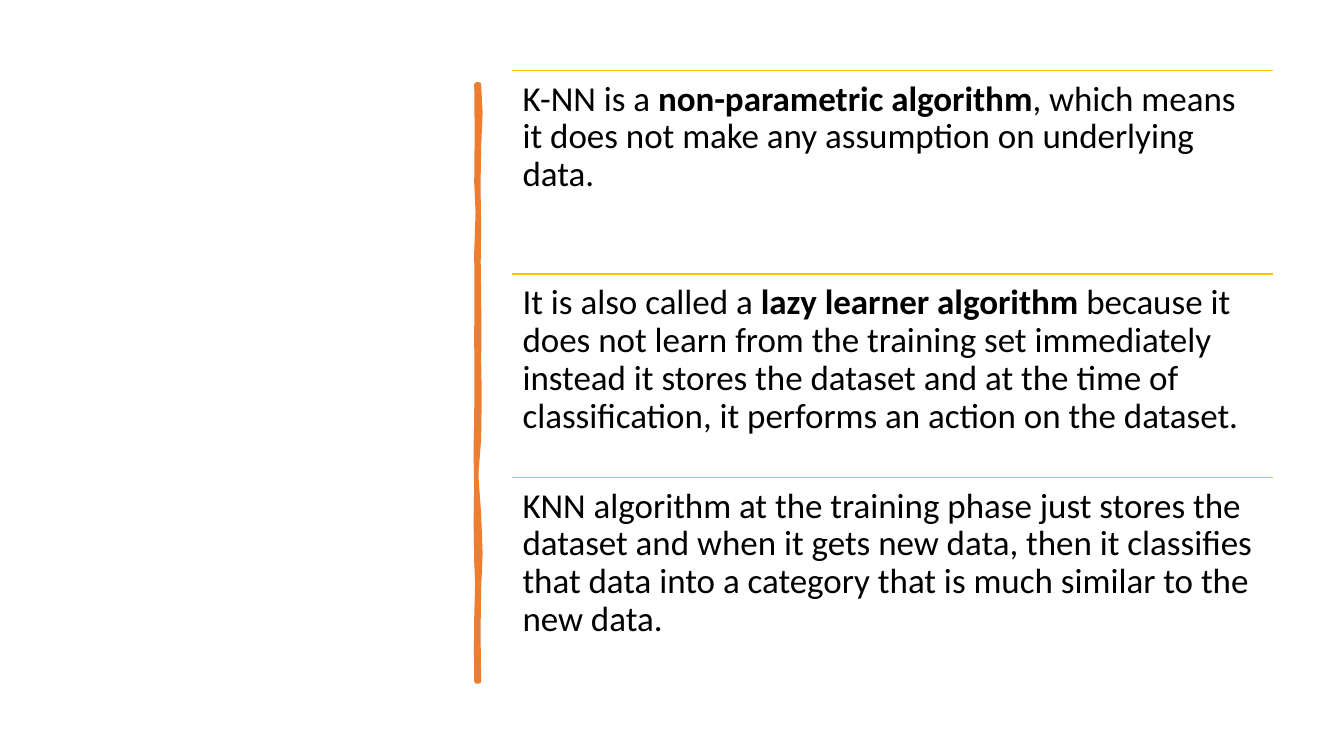
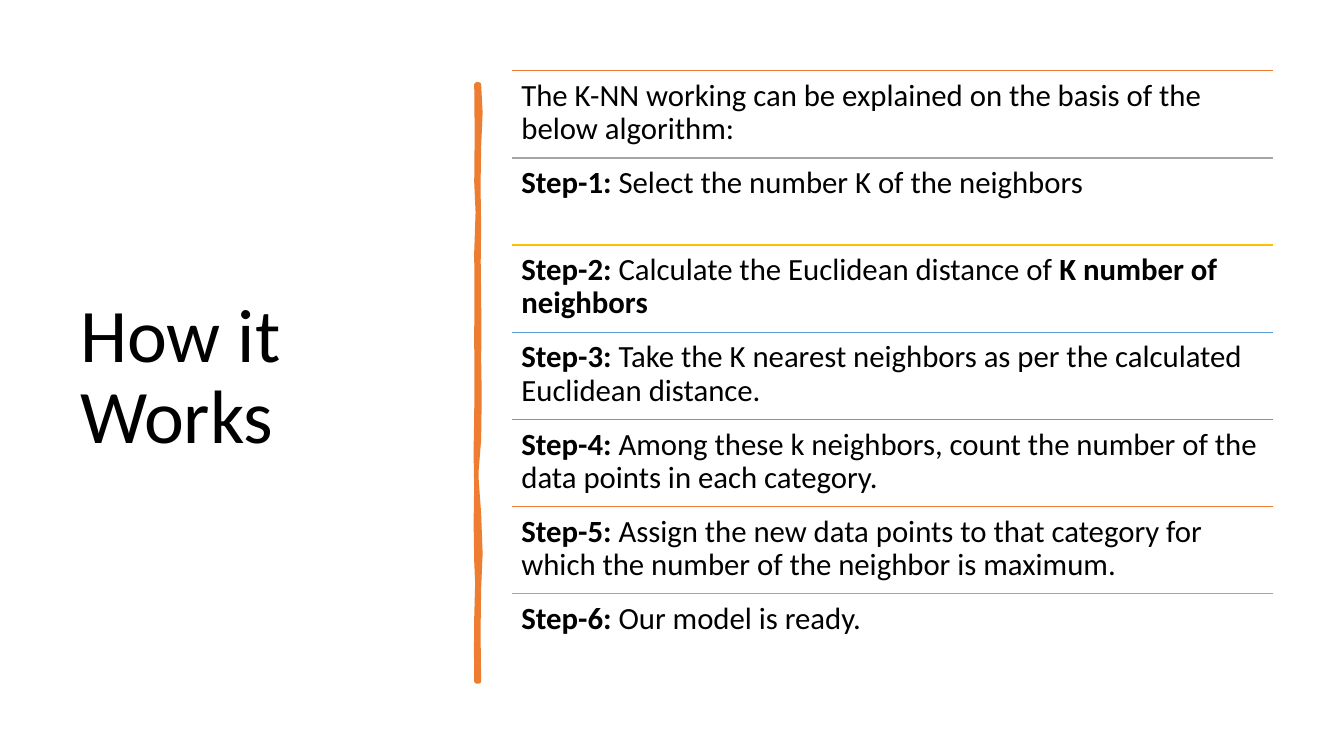
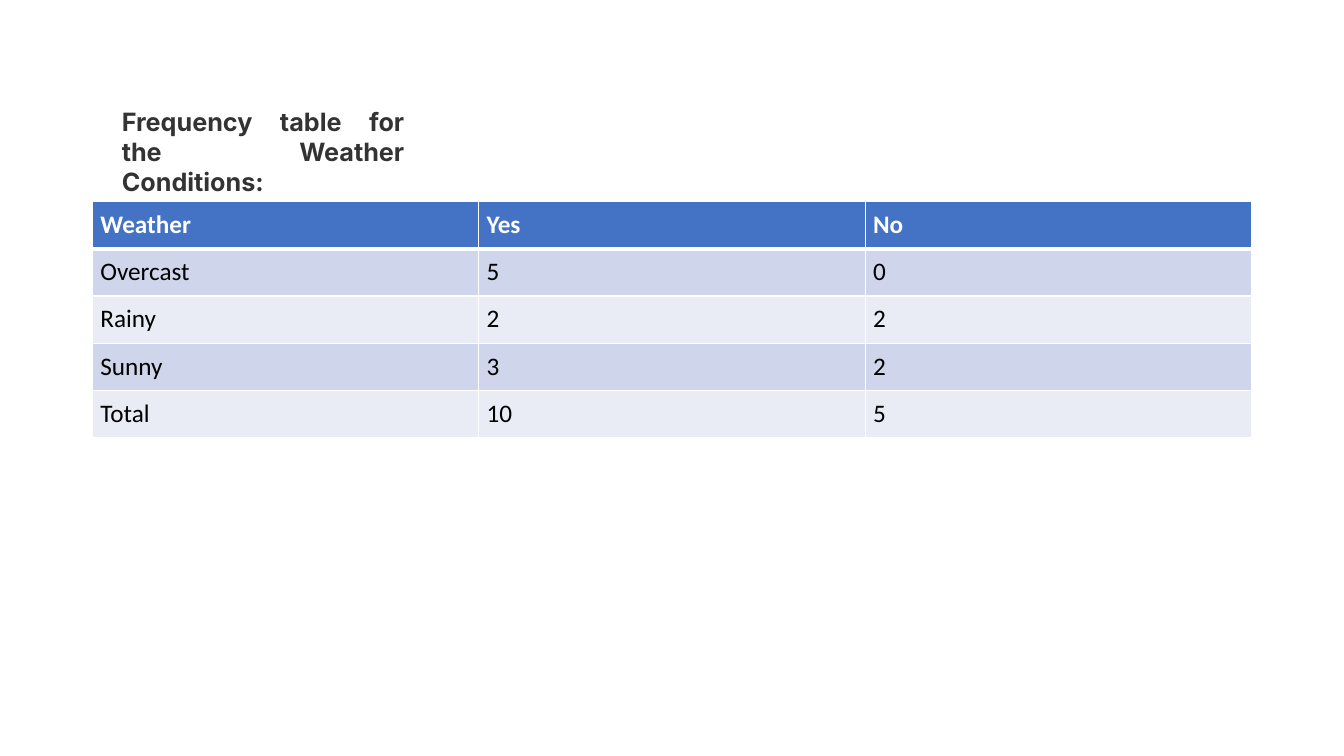
from dataclasses import dataclass

from lxml import etree
from pptx import Presentation
from pptx.dml.color import RGBColor
from pptx.enum.shapes import MSO_CONNECTOR
from pptx.enum.text import MSO_ANCHOR, PP_ALIGN
from pptx.oxml.ns import qn
from pptx.util import Cm, Pt

STRAIGHT = MSO_CONNECTOR.STRAIGHT
TOP, MIDDLE = MSO_ANCHOR.TOP, MSO_ANCHOR.MIDDLE
LEFT, JUSTIFY = PP_ALIGN.LEFT, PP_ALIGN.JUSTIFY


@dataclass(frozen=True)
class Theme:
    font: str = "Calibri"
    label_font: str = "Inter"
    black: str = "000000"
    white: str = "FFFFFF"
    dark: str = "333333"
    blue: str = "4472C4"
    sky: str = "5B9BD5"
    orange: str = "ED7D31"
    grey: str = "A5A5A5"
    gold: str = "FFC000"
    green: str = "70AD47"
    bands: tuple = ("CFD5EA", "E9EBF5")
    title: int = 54
    large: int = 25
    medium: int = 22
    small: int = 18


THEME = Theme()

# Brush stroke in cm: start point, then two controls and an end per curve
START = (12.07, 2.13)
CURVES = (
    ((12.12, 2.59), (12.12, 3.02), (12.07, 3.71)),
    ((12.01, 4.39), (12.09, 4.95), (12.07, 5.74)),
    ((12.04, 6.53), (12.07, 6.65), (12.07, 7.47)),
    ((12.04, 8.26), (12.12, 8.69), (12.07, 9.04)),
    ((12.01, 9.4), (12.17, 10.52), (12.07, 11.07)),
    ((11.96, 11.61), (11.99, 12.29), (12.07, 12.95)),
    ((12.12, 13.61), (12.12, 14.33), (12.07, 14.83)),
    ((12.01, 15.32), (12.09, 16.51), (12.07, 17.17)),
    ((12.04, 17.17), (12.01, 17.17), (12.01, 17.17)),
    ((12.04, 16.41), (11.96, 16.36), (12.01, 15.57)),
    ((12.04, 14.81), (12.04, 14.48), (12.01, 14.15)),
    ((11.99, 13.82), (11.99, 12.57), (12.01, 12.12)),
    ((12.01, 11.66), (11.96, 11.3), (12.01, 10.54)),
    ((12.04, 9.8), (11.99, 9.47), (12.01, 8.51)),
    ((12.04, 7.57), (11.99, 7.14), (12.01, 6.35)),
    ((12.04, 5.54), (12.07, 5.08), (12.01, 4.6)),
    ((11.94, 4.14), (12.11, 2.64), (12.01, 2.13)),
)

# Wording; asterisks enclose bold runs
TRAITS = (
    "K-NN is a *non-parametric algorithm*, which means it does not make any "
    "assumption on underlying data.",
    "It is also called a *lazy learner algorithm* because it does not learn "
    "from the training set immediately instead it stores the dataset and at "
    "the time of classification, it performs an action on the dataset.",
    "KNN algorithm at the training phase just stores the dataset and when it "
    "gets new data, then it classifies that data into a category that is much "
    "similar to the new data.",
)
STEPS = (
    "The K-NN working can be explained on the basis of the below algorithm:",
    "*Step-1:* Select the number K of the neighbors",
    "*Step-2:* Calculate the Euclidean distance of *K number of neighbors*",
    "*Step-3:* Take the K nearest neighbors as per the calculated Euclidean "
    "distance.",
    "*Step-4:* Among these k neighbors, count the number of the data points "
    "in each category.",
    "*Step-5:* Assign the new data points to that category for which the "
    "number of the neighbor is maximum.",
    "*Step-6:* Our model is ready.",
)
WEATHER = (
    ("Weather", "Yes", "No"),
    ("Overcast", "5", "0"),
    ("Rainy", "2", "2"),
    ("Sunny", "3", "2"),
    ("Total", "10", "5"),
)


def rgb(code):
    return RGBColor.from_string(code)


def write(frame, text, size, color=THEME.black, font=THEME.font,
          align=LEFT, space=1.0):
    """Fill a text frame with plain and bold runs."""
    para = frame.paragraphs[0]
    para.alignment = align
    para.line_spacing = space
    for i, part in enumerate(text.split("*")):
        if part:
            run = para.add_run()
            run.text = part
            run.font.name = font
            run.font.size = Pt(size)
            run.font.bold = i % 2 == 1
            run.font.color.rgb = rgb(color)


def add_text(slide, box, text, size, anchor=TOP, inset=None, **style):
    frame = slide.shapes.add_textbox(*map(Cm, box)).text_frame
    frame.word_wrap = True
    frame.vertical_anchor = anchor
    if inset is not None:
        frame.margin_left = frame.margin_right = Cm(inset)
        frame.margin_top = frame.margin_bottom = Cm(inset)
    write(frame, text, size, **style)


def add_rule(slide, left, top, width, color):
    rule = slide.shapes.add_connector(
        STRAIGHT, Cm(left), Cm(top), Cm(left + width), Cm(top))
    rule.line.color.rgb = rgb(color)
    rule.line.width = Pt(1)
    etree.SubElement(rule.element.spPr, qn("a:effectLst"))


def trace(start, curves, count=2):
    """Yield points in EMU along a chain of cubic curves."""
    for one, two, end in curves:
        for i in range(1, count + 1):
            t = i / count
            u = 1 - t
            yield tuple(
                Cm(u**3 * a + 3 * u * u * t * b + 3 * u * t * t * c + t**3 * d)
                for a, b, c, d in zip(start, one, two, end))
        start = end


def add_brush(slide):
    pen = slide.shapes.build_freeform(*map(Cm, START))
    pen.add_line_segments(list(trace(START, CURVES)), close=True)
    brush = pen.convert_to_shape()
    brush.shadow.inherit = False
    brush.fill.solid()
    brush.fill.fore_color.rgb = rgb(THEME.orange)
    brush.line.color.rgb = rgb(THEME.orange)
    brush.line.width = Pt(3.25)


def add_list(slide, items, size, colors, inset):
    """Stack ruled items of equal height, cycling the rule colours."""
    left, top, width = 12.91, 1.78, 19.18
    step = 15.38 / len(items)
    for i, item in enumerate(items):
        y = top + i * step
        add_rule(slide, left, y, width, colors[i % len(colors)])
        add_text(slide, (left, y, width, step), item, size,
                 inset=inset, space=0.9)


def add_border(cell, side, width):
    line = etree.SubElement(
        cell._tc.get_or_add_tcPr(), qn(f"a:ln{side}"), w=str(Pt(width)))
    fill = etree.SubElement(line, qn("a:solidFill"))
    etree.SubElement(fill, qn("a:srgbClr"), val=THEME.white)


def add_grid(slide, rows, left, top, width, height):
    table = slide.shapes.add_table(
        len(rows), len(rows[0]), Cm(left), Cm(top), Cm(width),
        Cm(height * len(rows))).table
    for r, row in enumerate(rows):
        head = r == 0
        for c, text in enumerate(row):
            cell = table.cell(r, c)
            cell.margin_left = cell.margin_right = Cm(0.2)
            cell.margin_top = cell.margin_bottom = Cm(0.2)
            for side in "LRTB":
                thick = (head and side == "B") or (r == 1 and side == "T")
                add_border(cell, side, 3 if thick else 1)
            cell.fill.solid()
            cell.fill.fore_color.rgb = rgb(
                THEME.blue if head else THEME.bands[(r - 1) % 2])
            write(cell.text_frame, f"*{text}*" if head else text, THEME.small,
                  color=THEME.white if head else THEME.black, align=JUSTIFY)


def main():
    deck = Presentation()
    deck.slide_width, deck.slide_height = Cm(33.87), Cm(19.05)
    blank = deck.slide_layouts[6]

    # Traits of the algorithm
    slide = deck.slides.add_slide(blank)
    add_brush(slide)
    add_list(slide, TRAITS, THEME.large, (THEME.gold,), 0.26)

    # Working steps
    slide = deck.slides.add_slide(blank)
    add_text(slide, (1.77, 1.78, 9.5, 15.52), "How it Works", THEME.title,
             anchor=MIDDLE, space=0.9)
    add_brush(slide)
    add_list(slide, STEPS, THEME.medium,
             (THEME.orange, THEME.grey, THEME.gold, THEME.sky, THEME.green),
             0.23)

    # Weather frequencies
    slide = deck.slides.add_slide(blank)
    add_grid(slide, WEATHER, 2.33, 5.08, 29.21, 1.19)
    add_text(slide, (2.82, 2.55, 7.62, 2.4),
             "*Frequency table for the Weather Conditions:*", THEME.small,
             color=THEME.dark, font=THEME.label_font, align=JUSTIFY)

    deck.save("out.pptx")


if __name__ == "__main__":
    main()
